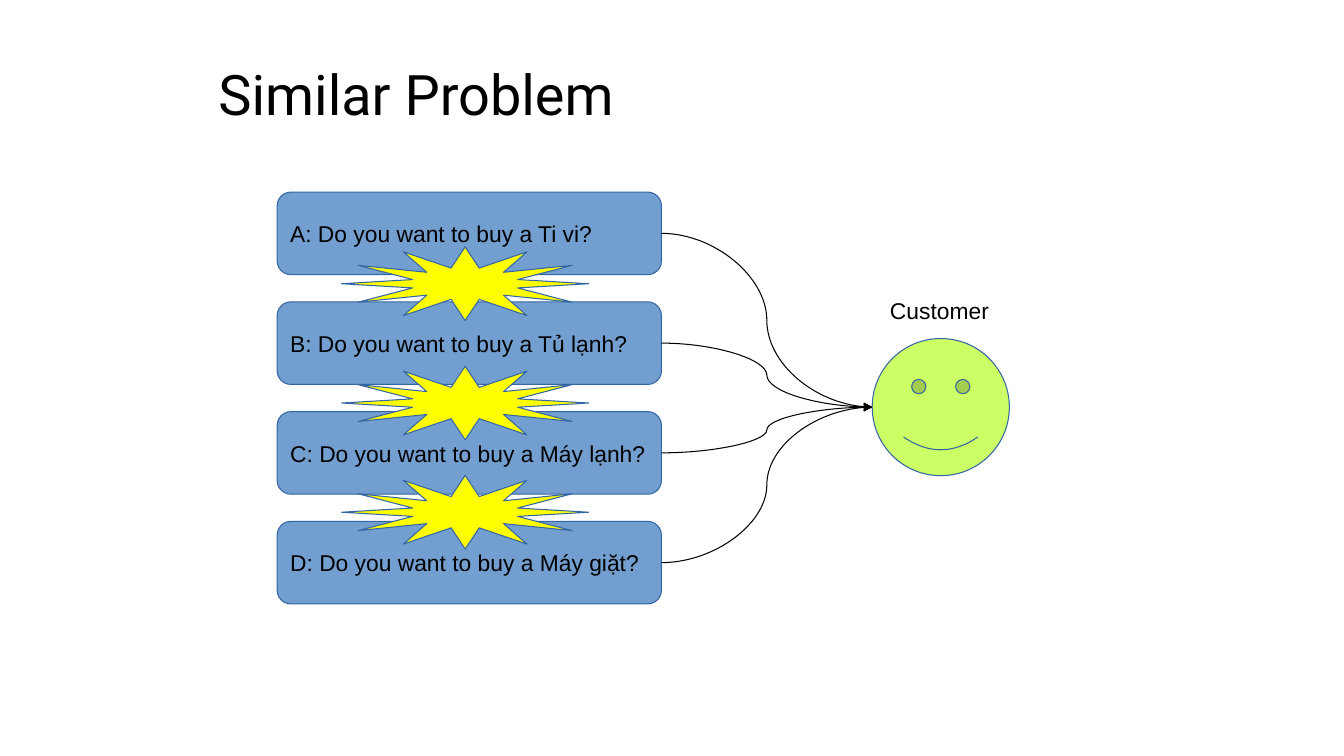
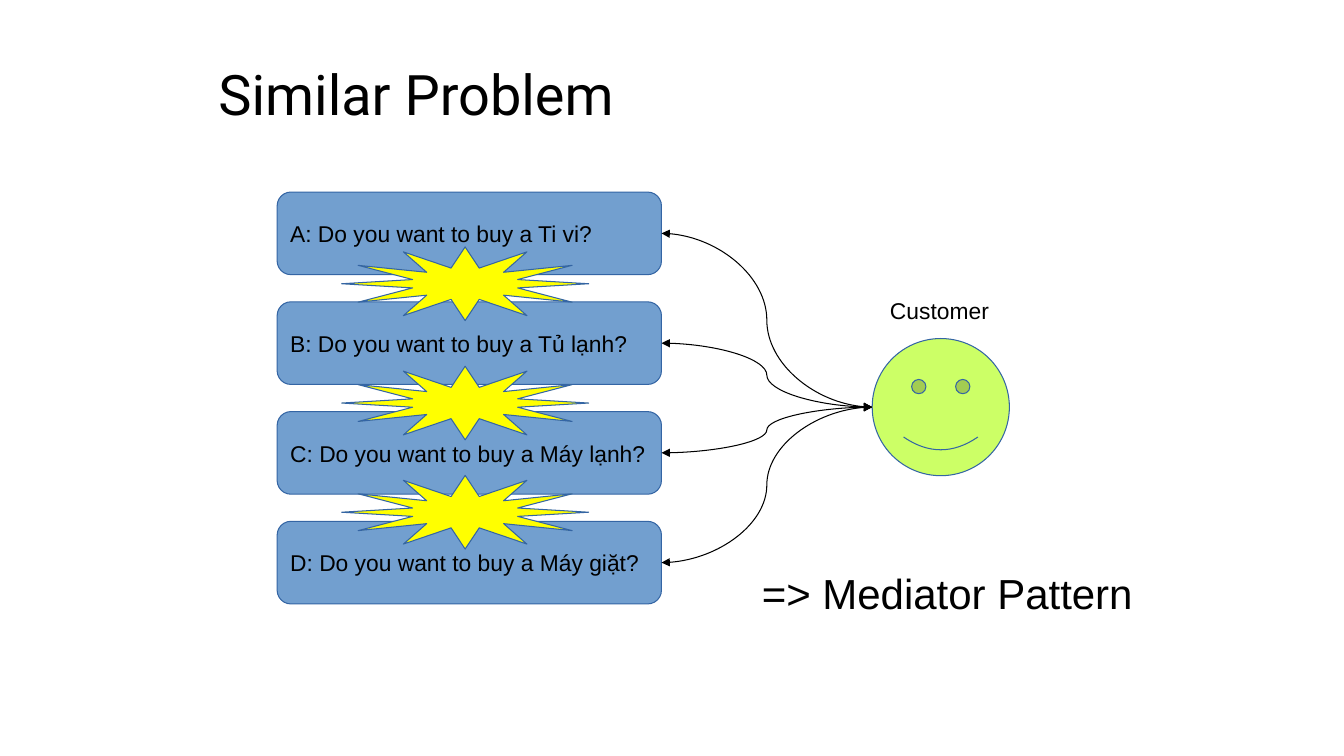
"""Build two slides that show four sellers competing for one customer."""
import pptx
import pptx.util
import pptx.dml.color
import pptx.enum.shapes
import pptx.enum.text
import pptx.oxml.ns
import lxml.etree

Pt = pptx.util.Pt
Shape = pptx.enum.shapes.MSO_SHAPE
Anchor = pptx.enum.text.MSO_ANCHOR

COLOURS = {
    "text": "000000",
    "outline": "3465A4",
    "question": "729FCF",
    "burst": "FFFF00",
    "customer": "CCFF66",
}
QUESTIONS = [
    "A: Do you want to buy a Ti vi?",
    "B: Do you want to buy a Tủ lạnh?",
    "C: Do you want to buy a Máy lạnh?",
    "D: Do you want to buy a Máy giặt?",
]
BOX_LEFT, BOX_TOP, BOX_WIDTH, BOX_HEIGHT, BOX_STEP = 198, 137.2, 274.5, 59, 78.4
BURST_TOPS = [176.4, 261.6, 339.6]
FACE_LEFT, FACE_TOP, FACE_SIZE = 623, 241.8, 98
INSETS = (6.4, 3.2)


def rgb(name):
    return pptx.dml.color.RGBColor.from_string(COLOURS[name])


def write_text(shape, text, size, font="Arial", anchor=Anchor.TOP, insets=INSETS):
    frame = shape.text_frame
    frame.word_wrap = True
    frame.vertical_anchor = anchor
    frame.margin_left = frame.margin_right = Pt(insets[0])
    frame.margin_top = frame.margin_bottom = Pt(insets[1])
    para = frame.paragraphs[0]
    para.alignment = pptx.enum.text.PP_ALIGN.LEFT
    span = para.add_run()
    span.text = text
    span.font.name = font
    span.font.size = Pt(size)
    span.font.color.rgb = rgb("text")


def add_label(slide, text, left, top, width, height, size, **style):
    box = slide.shapes.add_textbox(Pt(left), Pt(top), Pt(width), Pt(height))
    write_text(box, text, size, **style)


def add_figure(slide, kind, fill, left, top, width, height):
    figure = slide.shapes.add_shape(kind, Pt(left), Pt(top), Pt(width), Pt(height))
    figure.shadow.inherit = False
    figure.fill.solid()
    figure.fill.fore_color.rgb = rgb(fill)
    figure.line.color.rgb = rgb("outline")
    figure.line.width = Pt(0.75)
    return figure


def add_curve(slide, start_y, both_ways):
    curve = slide.shapes.add_connector(
        pptx.enum.shapes.MSO_CONNECTOR.CURVE,
        Pt(BOX_LEFT + BOX_WIDTH), Pt(start_y),
        Pt(FACE_LEFT), Pt(FACE_TOP + FACE_SIZE / 2),
    )
    curve.line.color.rgb = rgb("text")
    curve.line.width = Pt(0.75)
    qn = pptx.oxml.ns.qn
    outline = curve.line._get_or_add_ln()
    for end in ["headEnd", "tailEnd"] if both_ways else ["tailEnd"]:
        lxml.etree.SubElement(outline, qn(f"a:{end}"), type="triangle")
    lxml.etree.SubElement(curve._element.spPr, qn("a:effectLst"))


def add_problem_slide(deck, both_ways=False):
    slide = deck.slides.add_slide(deck.slide_layouts[6])
    add_label(slide, "Similar Problem", 156, 21.6, 648, 90, 39.9,
              font="Roboto", anchor=Anchor.MIDDLE, insets=(0, 0))
    add_figure(slide, Shape.SMILEY_FACE, "customer",
               FACE_LEFT, FACE_TOP, FACE_SIZE, FACE_SIZE)
    add_label(slide, "Customer", 629.3, 208.8, 137.5, 24.5, 16.3)
    for row, question in enumerate(QUESTIONS):
        top = BOX_TOP + row * BOX_STEP
        box = add_figure(slide, Shape.ROUNDED_RECTANGLE, "question",
                         BOX_LEFT, top, BOX_WIDTH, BOX_HEIGHT)
        write_text(box, question, 16.3, anchor=Anchor.MIDDLE)
        add_curve(slide, top + BOX_HEIGHT / 2, both_ways)
    for top in BURST_TOPS:
        burst = add_figure(slide, Shape.STAR_12_POINT, "burst", 244, top, 176.5, 52.6)
        burst.adjustments[0] = 0.22
    return slide


def main():
    deck = pptx.Presentation()
    deck.slide_width, deck.slide_height = Pt(960), Pt(540)
    add_problem_slide(deck)
    answer = add_problem_slide(deck, both_ways=True)
    add_label(answer, "=> Mediator Pattern", 537.8, 402.5, 320.4, 24.5, 30)
    deck.save("out.pptx")


if __name__ == "__main__":
    main()
